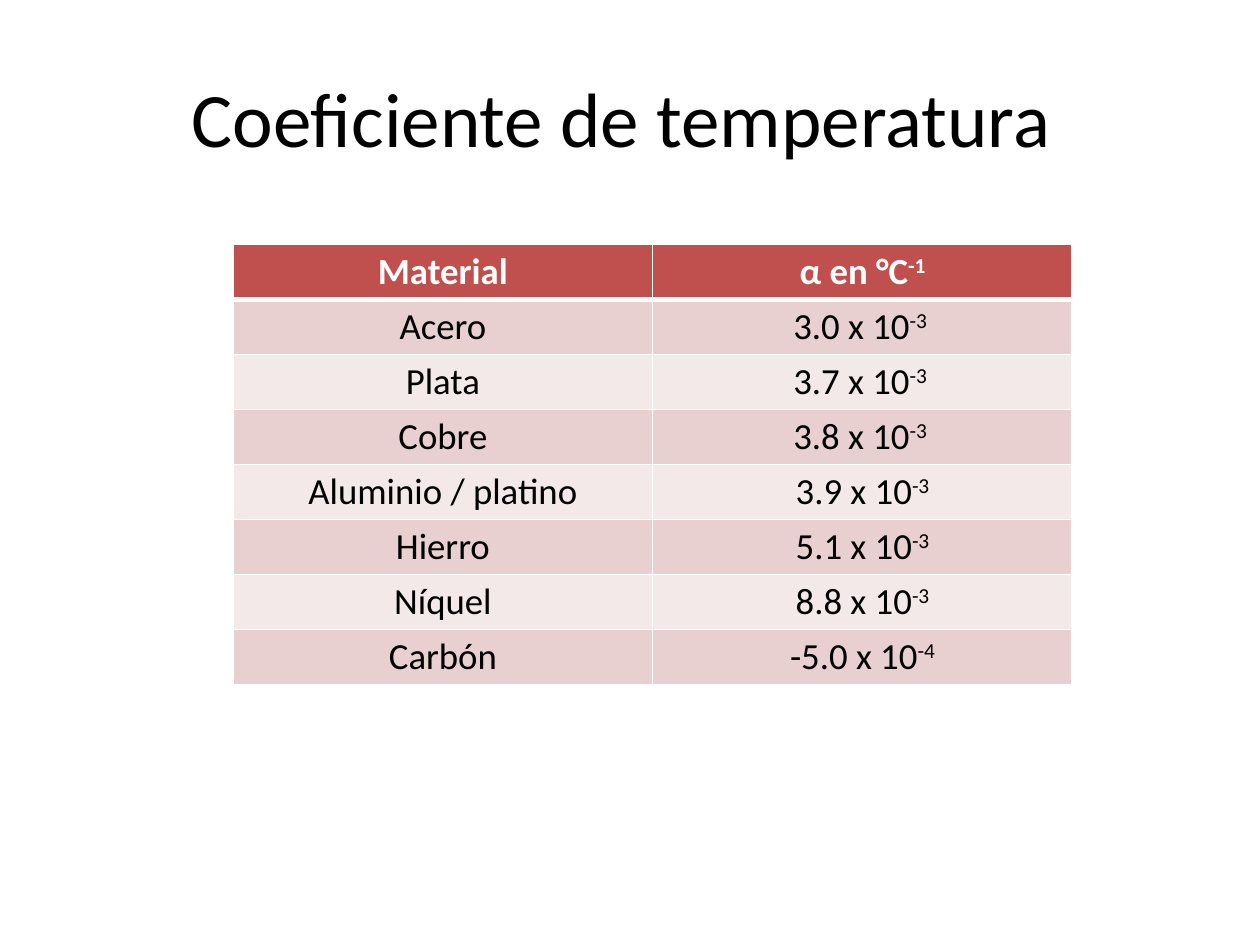
from lxml.etree import SubElement
from pptx import Presentation
from pptx.dml.color import RGBColor
from pptx.enum.text import MSO_ANCHOR as ANCHOR, PP_ALIGN as ALIGN
from pptx.oxml.ns import qn
from pptx.util import Inches, Pt

TITLE = "Coeficiente de temperatura "
ROWS = [
    ("Material", "α en °C", "-1"),
    ("Acero", "3.0 x 10", "-3 "),
    ("Plata", "3.7 x 10", "-3 "),
    ("Cobre", "3.8 x 10", "-3 "),
    ("Aluminio / platino", "3.9 x 10", "-3"),
    ("Hierro", "5.1 x 10", "-3"),
    ("Níquel", "8.8 x 10", "-3"),
    ("Carbón", "-5.0 x 10", "-4"),
]
HEADER, BANDS = "C0504D", ("F4E9E9", "E8D0D0")
WHITE, BLACK = "FFFFFF", "000000"
LEFT, TOP, COL_W, ROW_H = 1.85, 1.94, 3.33, 0.42


def rgb(value):
    return RGBColor.from_string(value)


def write(tf, text, size=21, color=BLACK, bold=False, sup=""):
    p = tf.paragraphs[0]
    p.alignment = ALIGN.CENTER
    for part, raised in ((text, False), (sup, True)):
        if part:
            r = p.add_run()
            r.text = part
            r.font.name, r.font.size, r.font.bold = "Calibri", Pt(size), bold
            r.font.color.rgb = rgb(color)
            if raised:
                r.font._element.set("baseline", "30000")


def set_borders(cell, top=1, bottom=1):
    tc_pr = cell._tc.get_or_add_tcPr()
    for side, width in (("L", 1), ("R", 1), ("T", top), ("B", bottom)):
        ln = SubElement(tc_pr, qn(f"a:ln{side}"), w=str(Pt(width)))
        fill = SubElement(ln, qn("a:solidFill"))
        SubElement(fill, qn("a:srgbClr"), val=WHITE)


def add_coefficients(slide):
    frame = slide.shapes.add_table(len(ROWS), 2, Inches(LEFT), Inches(TOP),
                                   Inches(2 * COL_W), Inches(len(ROWS) * ROW_H))
    table = frame.table
    for column in table.columns:
        column.width = Inches(COL_W)
    for i, (material, value, exponent) in enumerate(ROWS):
        table.rows[i].height = Inches(ROW_H)
        head = i == 0
        for j, (text, sup) in enumerate(((material, ""), (value, exponent))):
            cell = table.cell(i, j)
            cell.margin_left = cell.margin_right = Inches(0.07)
            cell.margin_top = cell.margin_bottom = Inches(0.04)
            set_borders(cell, top=3 if i == 1 else 1, bottom=3 if head else 1)
            cell.fill.solid()
            cell.fill.fore_color.rgb = rgb(HEADER if head else BANDS[i % 2])
            write(cell.text_frame, text, color=WHITE if head else BLACK, bold=head, sup=sup)


def main():
    """Build the slide with the temperature coefficients of common materials."""
    prs = Presentation()
    prs.slide_width, prs.slide_height = Inches(10), Inches(7.5)
    slide = prs.slides.add_slide(prs.slide_layouts[5])
    title = slide.shapes.title
    title.left, title.top, title.width, title.height = map(Inches, (0.5, 0.3, 9, 1.25))
    title.text_frame.vertical_anchor = ANCHOR.MIDDLE
    write(title.text_frame, TITLE, size=44)
    add_coefficients(slide)
    prs.save("out.pptx")


if __name__ == "__main__":
    main()
